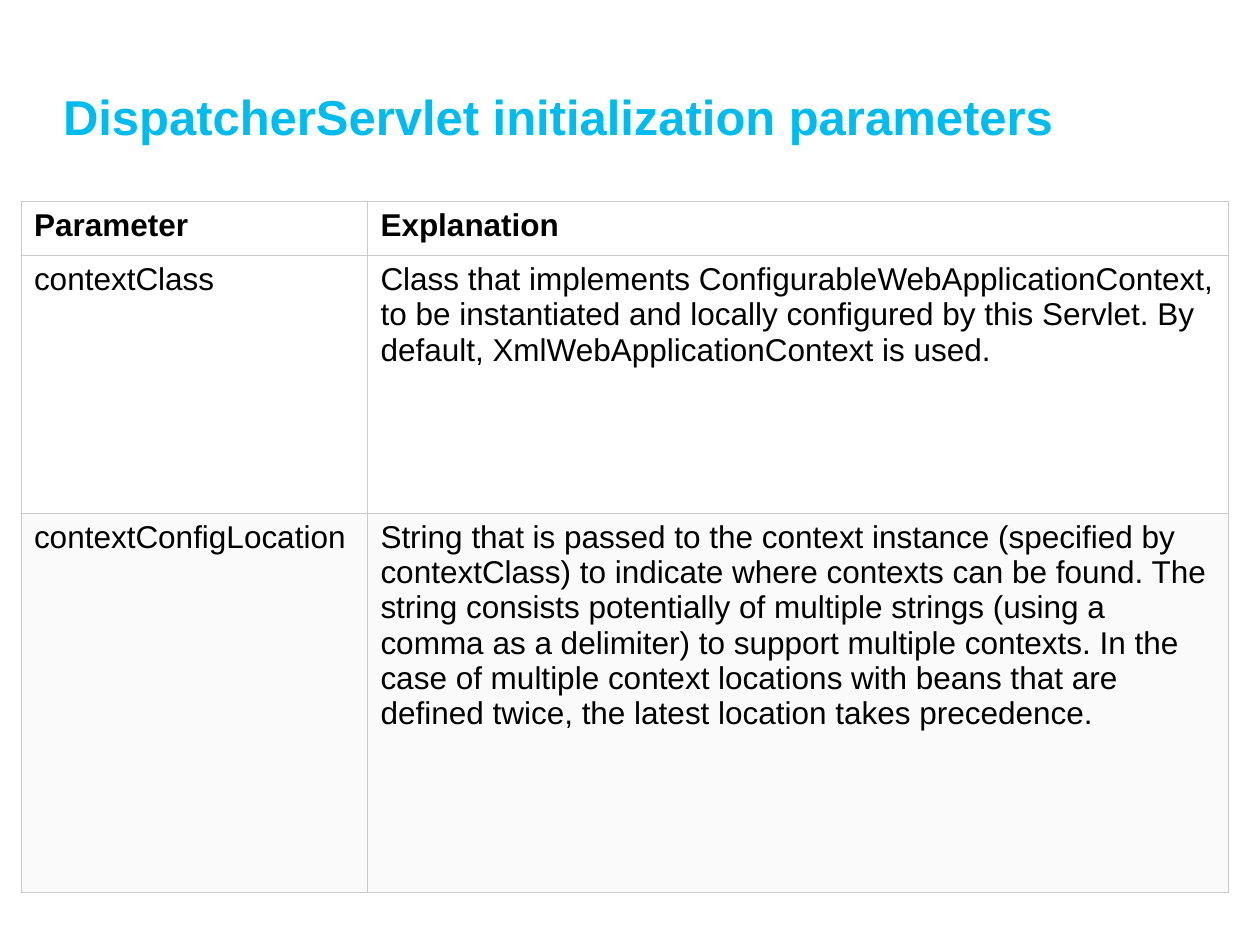
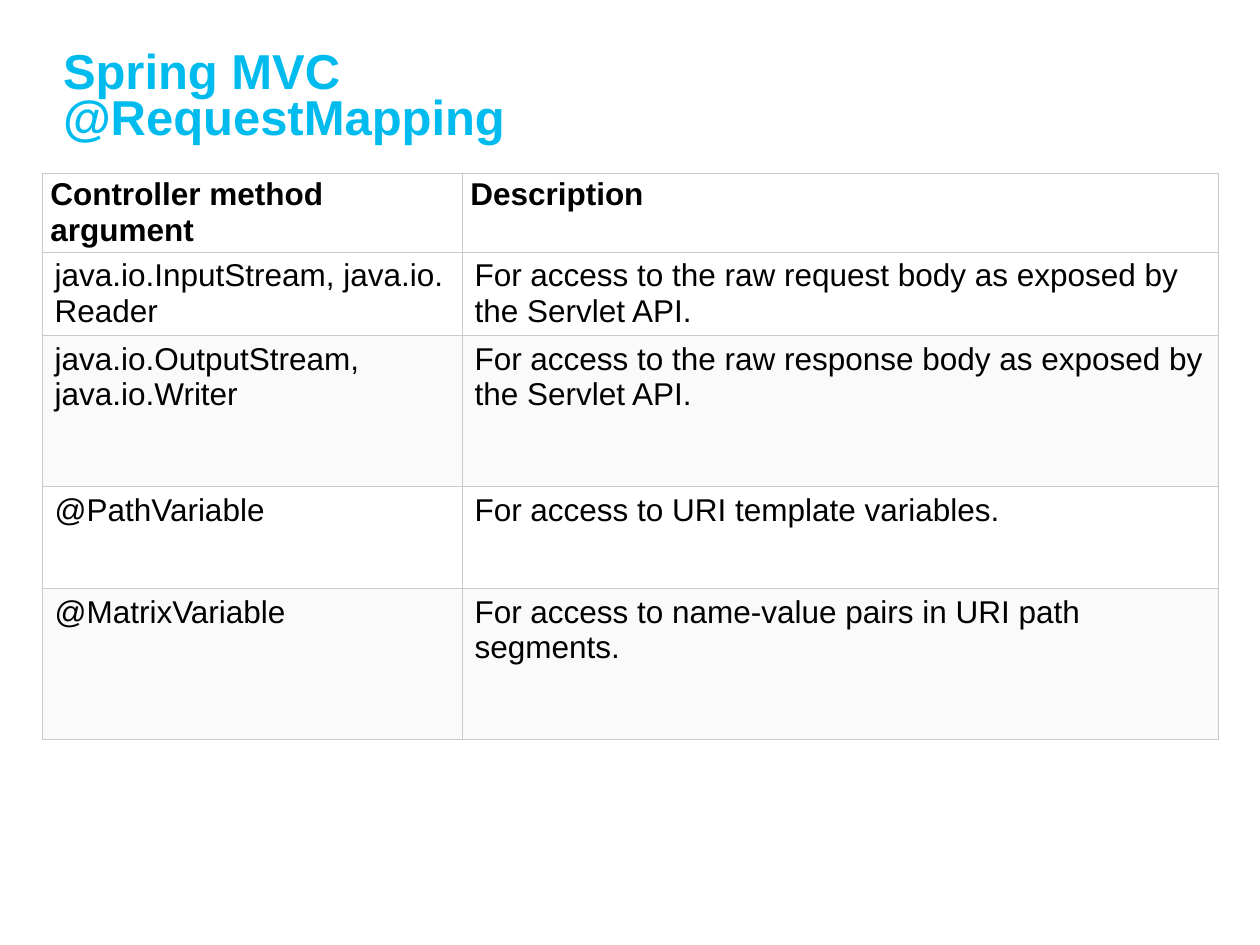
"""Build two slides of Spring MVC reference tables."""
import pptx
import pptx.dml.color
import pptx.enum.text
import pptx.oxml
import pptx.oxml.ns
import pptx.util
from pptx.util import Pt

FONT = "Arial"
TITLE_COLOR, TEXT_COLOR = "00BBEE", "000000"
ROW_FILL, SHADED_FILL, BORDER_COLOR = "FFFFFF", "FAFAFA", "CACACA"
BORDER_WIDTH = 0.6
TITLE_BOX = (36, 14.4, 648, 68.4)
BODY_INSET = (7.2, 3.6)

SLIDES = [
    {
        "title": "DispatcherServlet initialization parameters",
        "corner": (12.24, 115.2),
        "widths": (198, 491.76),
        "heights": (30.96, 147.3, 216.5),
        "header_inset": BODY_INSET,
        "rows": [
            ("Parameter", "Explanation"),
            ("contextClass",
             "Class that implements ConfigurableWebApplicationContext, to be instantiated "
             "and locally configured by this Servlet. By default, "
             "XmlWebApplicationContext is used."),
            ("contextConfigLocation",
             "String that is passed to the context instance (specified by contextClass) "
             "to indicate where contexts can be found. The string consists potentially of "
             "multiple strings (using a comma as a delimiter) to support multiple contexts. "
             "In the case of multiple context locations with beans that are defined twice, "
             "the latest location takes precedence."),
        ],
    },
    {
        "title": "Spring MVC\v@RequestMapping",
        "corner": (24, 98.9),
        "widths": (240, 432),
        "heights": (44, 45.36, 86.4, 58.32, 86.4),
        "header_inset": (4.8, 2.4),
        "rows": [
            ("Controller method argument", "Description"),
            ("java.io.InputStream, java.io. Reader",
             "For access to the raw request body as exposed by the Servlet API."),
            ("java.io.OutputStream, java.io.Writer",
             "For access to the raw response body as exposed by the Servlet API."),
            ("@PathVariable", "For access to URI template variables."),
            ("@MatrixVariable", "For access to name-value pairs in URI path segments."),
        ],
    },
]


def rgb(value):
    """Turn a hex string into a colour."""
    return pptx.dml.color.RGBColor.from_string(value)


def style_runs(frame, size, color, bold):
    """Format every run of a text frame."""
    for paragraph in frame.paragraphs:
        for run in paragraph.runs:
            run.font.name, run.font.size, run.font.bold = FONT, Pt(size), bold
            run.font.color.rgb = rgb(color)


def set_title(slide, text):
    """Fill and place the title placeholder."""
    title = slide.shapes.title
    title.left, title.top, title.width, title.height = map(Pt, TITLE_BOX)
    frame = title.text_frame
    frame.text = text
    frame.word_wrap = True
    frame.auto_size = pptx.enum.text.MSO_AUTO_SIZE.NONE
    frame.vertical_anchor = pptx.enum.text.MSO_ANCHOR.BOTTOM
    frame.margin_left = frame.margin_right = frame.margin_top = frame.margin_bottom = 0
    frame.paragraphs[0].alignment = pptx.enum.text.PP_ALIGN.LEFT
    frame.paragraphs[0].line_spacing = Pt(26)
    style_runs(frame, 28, TITLE_COLOR, True)


def add_borders(cell):
    """Draw a thin line on all four sides of a cell."""
    properties = cell._tc.get_or_add_tcPr()
    for position, side in enumerate(("lnL", "lnR", "lnT", "lnB")):
        properties.insert(position, pptx.oxml.parse_xml(
            f'<a:{side} {pptx.oxml.ns.nsdecls("a")} w="{Pt(BORDER_WIDTH)}"><a:solidFill>'
            f'<a:srgbClr val="{BORDER_COLOR}"/></a:solidFill></a:{side}>'))


def style_cell(cell, text, row, inset):
    """Write one cell, bold in the header and shaded in every second body row."""
    cell.text_frame.text = text
    style_runs(cell.text_frame, 18, TEXT_COLOR, row == 0)
    cell.margin_left = cell.margin_right = Pt(inset[0])
    cell.margin_top = cell.margin_bottom = Pt(inset[1])
    cell.fill.solid()
    cell.fill.fore_color.rgb = rgb(SHADED_FILL if row and row % 2 == 0 else ROW_FILL)
    add_borders(cell)


def add_reference_table(slide, content):
    """Add the table of names and explanations."""
    rows, widths, heights = content["rows"], content["widths"], content["heights"]
    table = slide.shapes.add_table(
        len(rows), len(widths), *map(Pt, content["corner"]),
        Pt(sum(widths)), Pt(sum(heights))).table
    table.first_row = table.horz_banding = False
    for column, width in zip(table.columns, widths):
        column.width = Pt(width)
    for row, (texts, height) in enumerate(zip(rows, heights)):
        table.rows[row].height = Pt(height)
        inset = BODY_INSET if row else content["header_inset"]
        for column, text in enumerate(texts):
            style_cell(table.cell(row, column), text, row, inset)


def main():
    """Build and save the presentation."""
    presentation = pptx.Presentation()
    presentation.slide_width, presentation.slide_height = Pt(720), Pt(540)
    for content in SLIDES:
        slide = presentation.slides.add_slide(presentation.slide_layouts[5])
        set_title(slide, content["title"])
        add_reference_table(slide, content)
    presentation.save("out.pptx")


if __name__ == "__main__":
    main()
